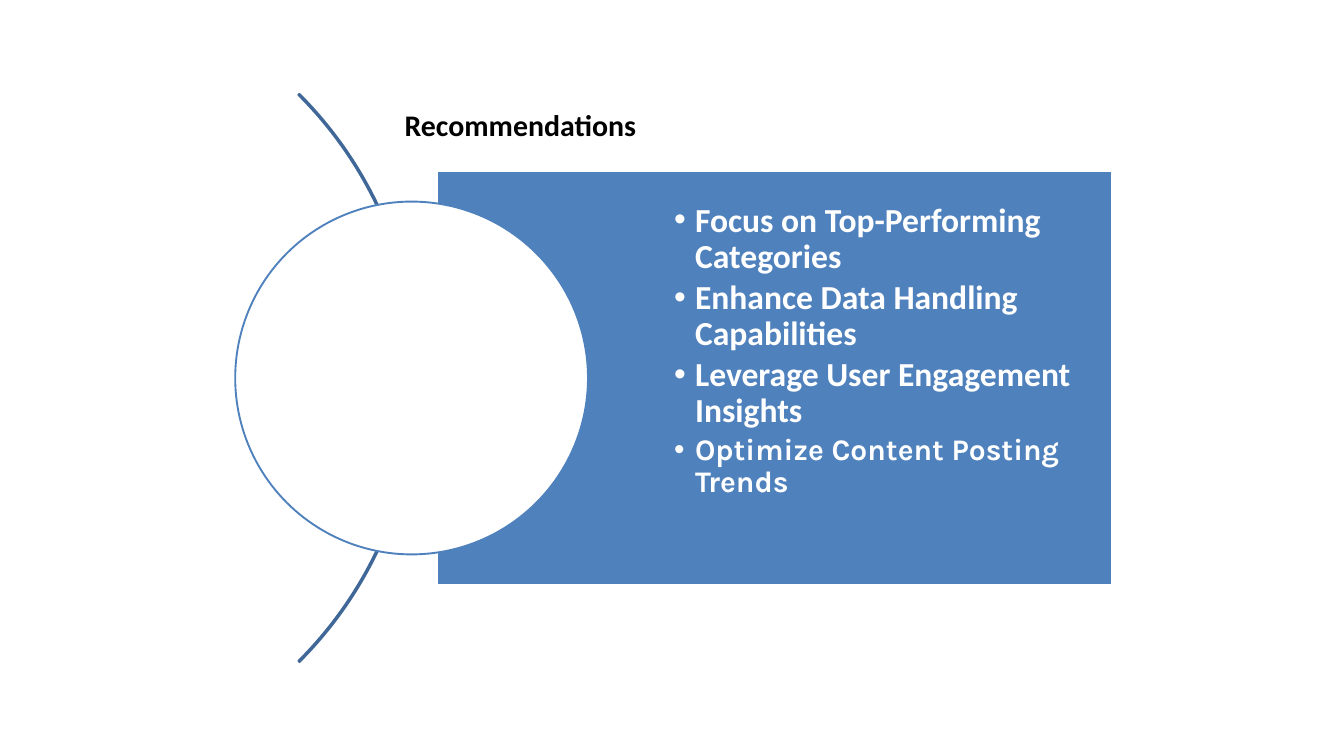
"""Build the recommendations slide: a radial circle with a panel of bulleted advice."""
from lxml import etree
from pptx import Presentation
from pptx import util as u
from pptx.dml.color import RGBColor
from pptx.enum import shapes, text
from pptx.oxml.ns import qn

PX = 9525
BLUE = RGBColor(0x4F, 0x81, 0xBD)
DARK_BLUE = RGBColor(0x3F, 0x67, 0x97)
WHITE = RGBColor(0xFF, 0xFF, 0xFF)
BLACK = RGBColor(0x00, 0x00, 0x00)

RECOMMENDATIONS = [
    ("Focus on Top-Performing Categories", "Calibri", 36),
    ("Enhance Data Handling Capabilities", "Calibri", 36),
    ("Leverage User Engagement Insights", "Calibri", 36),
    ("Optimize Content Posting Trends", "Karla", 32),
]


class Painter:
    """Holds the line style and the current slide."""

    def __init__(self, page, line_width=2):
        self.page = page
        self.line_width = u.Pt(line_width)

    def place(self, shape, box):
        shape.left, shape.top, shape.width, shape.height = (u.Emu(n * PX) for n in box)

    def paint(self, shape, fill, line):
        if fill is None:
            shape.fill.background()
        else:
            shape.fill.solid()
            shape.fill.fore_color.rgb = fill
        shape.line.color.rgb = line
        shape.line.width = self.line_width

    def frame(self, shape, insets):
        frame = shape.text_frame
        frame.word_wrap = True
        frame.auto_size = text.MSO_AUTO_SIZE.NONE
        frame.vertical_anchor = text.MSO_ANCHOR.TOP
        (frame.margin_left, frame.margin_top,
         frame.margin_right, frame.margin_bottom) = (u.Emu(n * PX) for n in insets)
        return frame

    def add_span(self, para, words, font, size, color):
        para.alignment = text.PP_ALIGN.LEFT
        span = para.add_run()
        span.text = words
        span.font.name = font
        span.font.size = u.Pt(size)
        span.font.bold = True
        span.font.color.rgb = color

    def title(self, words, box):
        shape = self.page.shapes.title
        self.place(shape, box)
        frame = self.frame(shape, (10, 5, 10, 5))
        self.add_span(frame.paragraphs[0], words, "Calibri", 32, BLACK)

    def bullet_panel(self, items, box, insets, indent):
        shape = self.page.placeholders[1]
        self.place(shape, box)
        self.paint(shape, BLUE, WHITE)
        frame = self.frame(shape, insets)
        for index, (words, font, size) in enumerate(items):
            para = frame.add_paragraph() if index else frame.paragraphs[0]
            para.line_spacing = 0.9
            para.space_before = u.Pt(0)
            para.space_after = u.Pt(5)
            self.add_span(para, words, font, size, WHITE)
            props = para._p.get_or_add_pPr()
            props.set("marL", str(indent * PX))
            props.set("indent", str(-indent * PX))
            etree.SubElement(props, qn("a:buChar")).set("char", "•")

    def outline(self, kind, box, fill, line, adjustments=()):
        shape = self.page.shapes.add_shape(kind, 0, 0, 0, 0)
        self.place(shape, box)
        shape.shadow.inherit = False
        self.paint(shape, fill, line)
        for index, value in enumerate(adjustments):
            shape.adjustments[index] = value


def main():
    deck = Presentation()
    deck.slide_width, deck.slide_height = u.Emu(1920 * PX), u.Emu(1080 * PX)
    painter = Painter(deck.slides.add_slide(deck.slide_layouts[1]))
    painter.title("Recommendations", (568, 148, 392, 61))
    painter.bullet_panel(RECOMMENDATIONS, (624, 244, 964, 592), (339, 46, 6, 6), 30)
    painter.outline(shapes.MSO_SHAPE.BLOCK_ARC, (-552, -34, 1148, 1148),
                    None, DARK_BLUE, (189, 27, 0.002))
    painter.outline(shapes.MSO_SHAPE.OVAL, (336, 288, 504, 504), WHITE, BLUE)
    deck.save("out.pptx")


if __name__ == "__main__":
    main()
